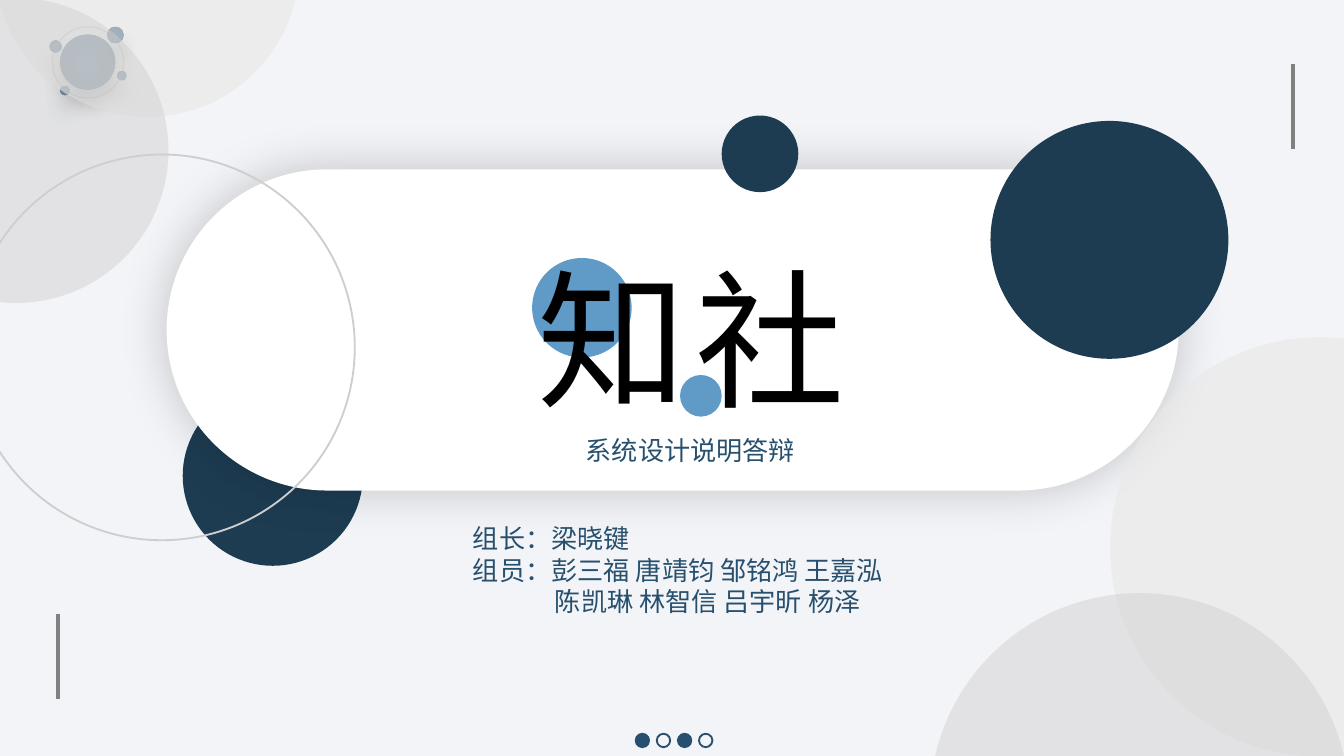
import pptx
import pptx.dml.color
import pptx.enum.shapes
import pptx.enum.text
import pptx.oxml
import pptx.oxml.ns
import pptx.util

COLS, ROWS = 100, 56.25
CELL = 0.1  # inches: one hundredth of the slide's width
HUES = {
    "page": "F3F4F7", "white": "FFFFFF", "black": "000000", "navy": "1D3C52",
    "steel": "27506E", "sky": "5F9BC6", "gray": "808080", "ring": "CECECE",
    "rim": "BFBFBF", "pale": "E9E9E9",
}
SOFT = (11, 8, 40)  # shadow blur, distance, opacity
GLOW = (27, 0, 20)
KINDS = pptx.enum.shapes.MSO_SHAPE
NS = pptx.oxml.ns.nsdecls("a")


def cells(*sizes):
    return [pptx.util.Inches(size * CELL) for size in sizes]


def hue(name):
    return pptx.dml.color.RGBColor.from_string(HUES[name])


def shade(shape, blur, gap, alpha):
    shape._element.spPr.find(pptx.oxml.ns.qn("a:effectLst")).append(
        pptx.oxml.parse_xml(
            f'<a:outerShdw {NS} blurRad="{blur * 12700}" dist="{gap * 12700}" '
            f'dir="5400000" algn="ctr" rotWithShape="0"><a:srgbClr val="{HUES["black"]}">'
            f'<a:alpha val="{alpha * 1000}"/></a:srgbClr></a:outerShdw>'))


def glaze(shape, inner, outer):
    """Fill the shape with a gradient from its centre outwards."""
    shape.fill.background()
    old = shape._element.spPr.find(pptx.oxml.ns.qn("a:noFill"))
    new = pptx.oxml.parse_xml(
        f'<a:gradFill {NS} rotWithShape="1"><a:gsLst>'
        f'<a:gs pos="0"><a:srgbClr val="{HUES[inner]}"/></a:gs>'
        f'<a:gs pos="100000"><a:srgbClr val="{HUES[outer]}"/></a:gs></a:gsLst>'
        '<a:path path="circle"><a:fillToRect l="50000" t="50000" r="50000" b="50000"/>'
        '</a:path></a:gradFill>')
    old.getparent().replace(old, new)


def form(slide, kind, box, fill=None, line=None, width=1, alpha=100):
    shape = slide.shapes.add_shape(kind, *cells(*box))
    shape.shadow.inherit = False
    if fill:
        shape.fill.solid()
        shape.fill.fore_color.rgb = hue(fill)
        if alpha < 100:
            tint = shape._element.spPr.find(".//" + pptx.oxml.ns.qn("a:srgbClr"))
            tint.append(pptx.oxml.parse_xml(f'<a:alpha {NS} val="{alpha * 1000}"/>'))
    else:
        shape.fill.background()
    if line:
        shape.line.color.rgb = hue(line)
        shape.line.width = pptx.util.Pt(width)
    else:
        shape.line.fill.background()
    return shape


def disc(slide, left, top, size, fill=None, **look):
    return form(slide, KINDS.OVAL, (left, top, size, size), fill, **look)


def bar(slide, left, top, tall):
    line = slide.shapes.add_connector(
        pptx.enum.shapes.MSO_CONNECTOR.STRAIGHT, *cells(left, top, left, top + tall))
    line.line.color.rgb = hue("gray")
    line.line.width = pptx.util.Pt(2.25)
    line._element.spPr.append(pptx.oxml.parse_xml(f"<a:effectLst {NS}/>"))


def write(slide, box, lines, size, font, color, wrap=False):
    frame = slide.shapes.add_textbox(*cells(*box)).text_frame
    frame.word_wrap = wrap
    frame.text = "\n".join(lines)
    for para in frame.paragraphs:
        para.font.size = pptx.util.Pt(size)
        para.font.name = font
        para.font.color.rgb = hue(color)
    return frame.paragraphs


def emblem(slide, left, top, size):
    """Ring with a core and four moons."""
    disc(slide, left, top, size, line="rim", width=0.75)
    for x, y, d in ((0.11, 0.11, 0.77), (0.77, 0, 0.23), (-0.04, 0.19, 0.17),
                    (0.11, 0.83, 0.13), (0.91, 0.62, 0.13)):
        ball = disc(slide, left + x * size, top + y * size, d * size)
        glaze(ball, "steel", "navy")
        shade(ball, *SOFT)


def pager(slide, left, top, size):
    for i in range(4):
        disc(slide, left + i * 1.57 * size, top, size,
             None if i % 2 else "steel", line="steel")


def blobs(slide, left, top, size):
    """Two clear discs, the second one down and to the left."""
    disc(slide, left, top, size, "pale", alpha=65)
    disc(slide, left - 0.43 * size, top + 0.61 * size, size, "ring", alpha=46)


def card(slide, left, top, wide, tall):
    """White pill with the discs around it."""
    disc(slide, left + 1.2, top + 16.1, 13.4, "navy")
    pill = form(slide, KINDS.ROUNDED_RECTANGLE, (left, top, wide, tall), "white")
    pill.adjustments[0] = 0.5
    shade(pill, *GLOW)
    disc(slide, left + 41.3, top - 4, 5.7, "navy")
    disc(slide, left - 14.7, top - 1.1, 28.7, line="ring")
    disc(slide, left + 61.3, top - 3.6, 17.7, "navy")
    disc(slide, left + 27.2, top + 6.6, 7.4, "sky")
    disc(slide, left + 38.2, top + 15.3, 3.1, "sky")


def title(slide, left, top, wide, tall):
    para = write(slide, (left, top, wide, tall), ["知社"], 80,
                 "Noto Sans CJK JP", "black", wrap=True)[0]
    para.alignment = pptx.enum.text.PP_ALIGN.CENTER
    props = para.runs[0]._r.get_or_add_rPr()
    props.set("spc", "450")
    props.append(pptx.oxml.parse_xml(f'<a:ea {NS} typeface="Noto Sans CJK JP"/>'))
    write(slide, (left + 13.4, top + 13.9, 17.7, 3.4), ["系统设计说明答辩"],
          14, "Calibri", "steel")


def team(slide, left, top, wide, tall):
    rows = write(slide, (left, top, wide, tall),
                 ["组长：梁晓键", "组员：彭三福 唐靖钧 邹铭鸿 王嘉泓",
                  "陈凯琳 林智信 吕宇昕 杨泽"], 14, "Calibri", "steel")
    rows[-1]._p.get_or_add_pPr().set("marL", str(cells(6.1)[0]))


def main():
    deck = pptx.Presentation()
    deck.slide_width, deck.slide_height = cells(COLS, ROWS)
    slide = deck.slides.add_slide(deck.slide_layouts[6])
    slide.background.fill.solid()
    slide.background.fill.fore_color.rgb = hue("page")

    emblem(slide, 3.9, 2, 5.3)
    pager(slide, 47.3, 54.6, 1)
    card(slide, 12.4, 12.6, 75.3, 23.9)
    blobs(slide, 82.6, 25.1, 31.2)
    bar(slide, 96.2, 4.8, 6.3)
    bar(slide, 4.3, 45.7, 6.3)
    blobs(slide, -0.4, -14, 22.7)
    title(slide, 29.2, 17.9, 44.5, 14.5)
    team(slide, 34.2, 38.4, 32.8, 8.1)
    deck.save("out.pptx")


if __name__ == "__main__":
    main()
